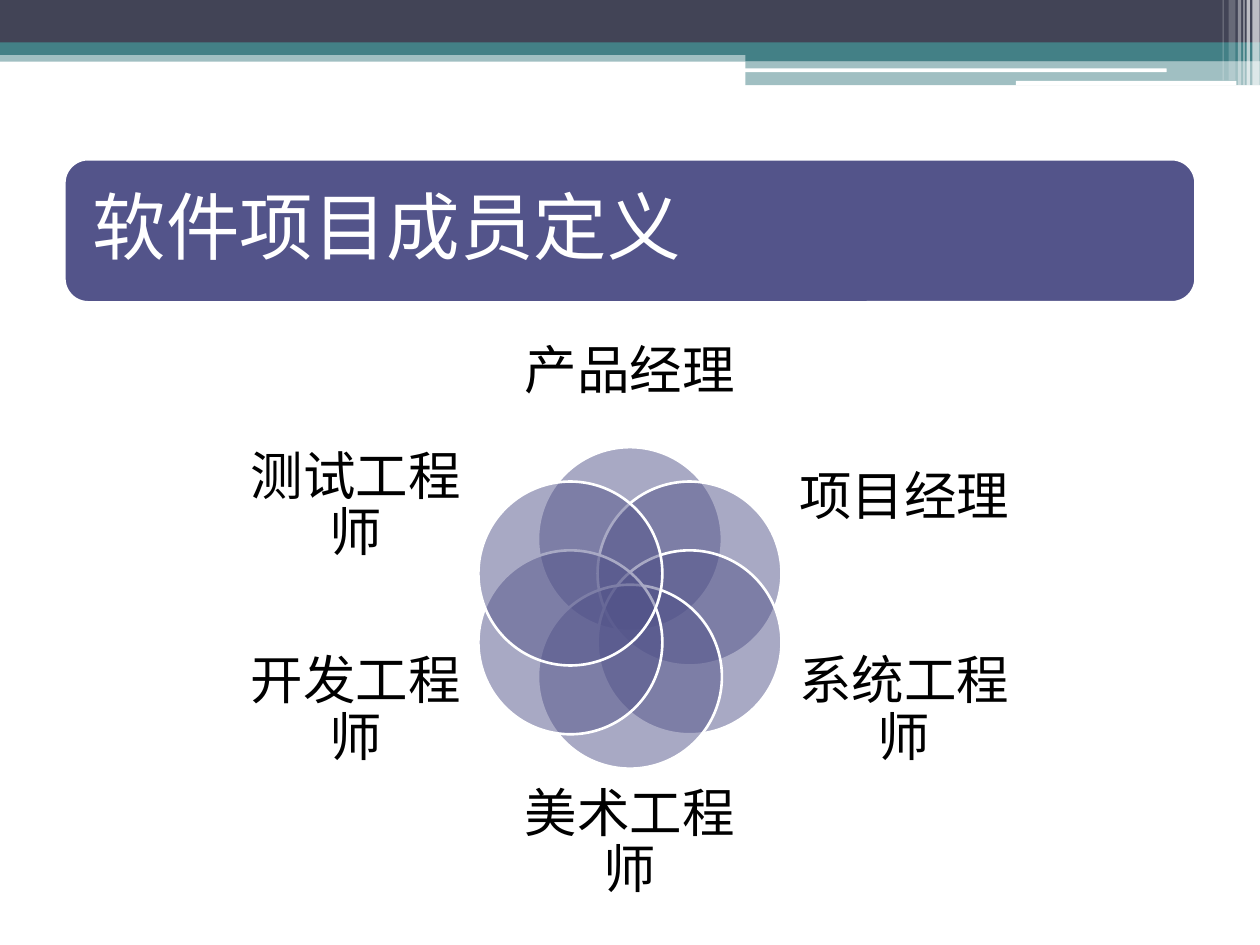
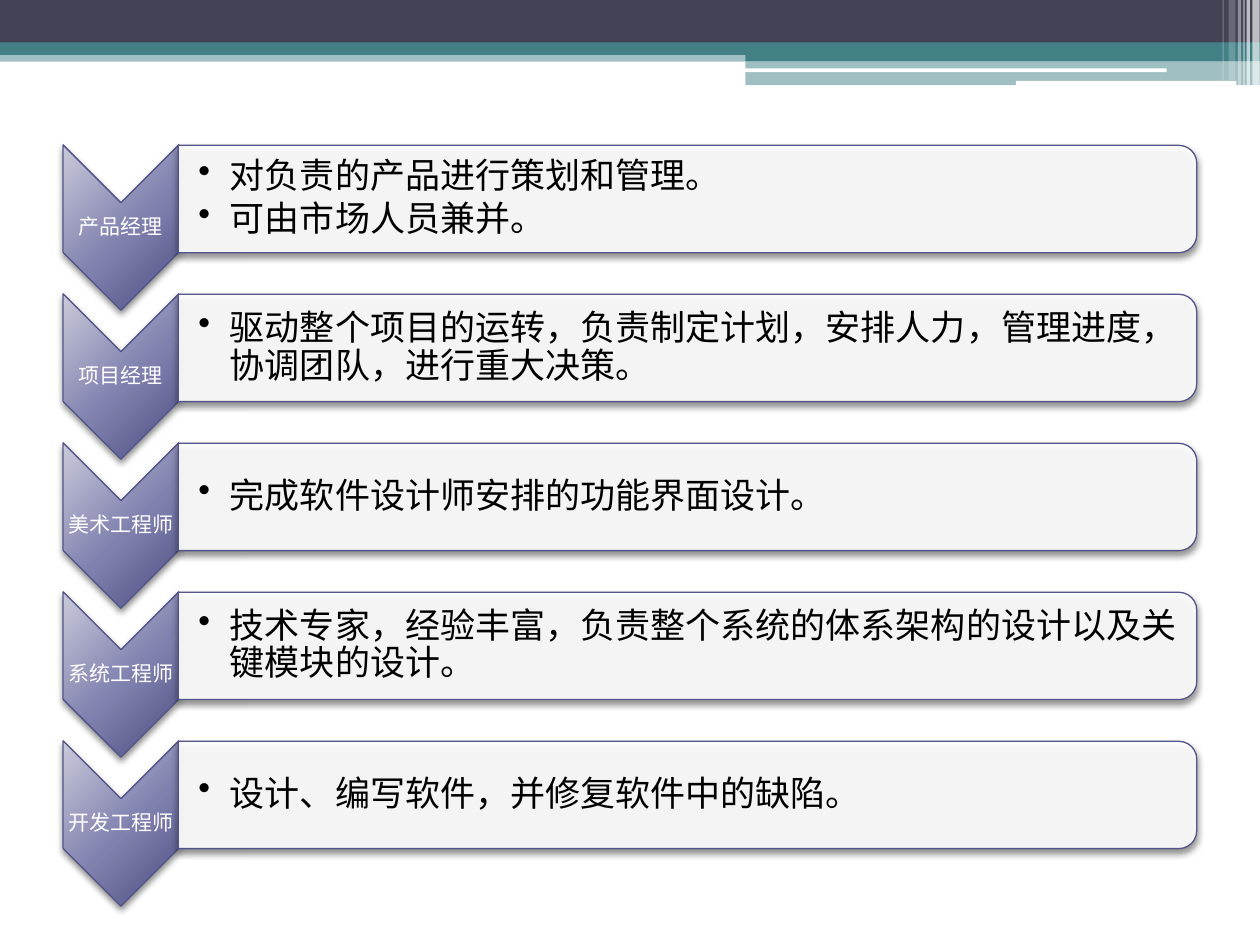
"""Build two slides on software project roles: a ring of members and a list of duties."""
from math import cos, radians, sin

from pptx import Presentation
from pptx.dml.color import RGBColor
from pptx.enum.shapes import MSO_SHAPE
from pptx.enum.text import MSO_ANCHOR, MSO_AUTO_SIZE, PP_ALIGN
from pptx.oxml import parse_xml
from pptx.oxml.ns import qn
from pptx.util import Pt
from lxml.etree import SubElement

SLATE = RGBColor(0x42, 0x44, 0x56)
TEAL = RGBColor(0x43, 0x80, 0x86)
INDIGO = RGBColor(0x53, 0x54, 0x8A)
WHITE = RGBColor(0xFF, 0xFF, 0xFF)
BLACK = RGBColor(0, 0, 0)
FONT = "TeX Gyre Schola"
NAMESPACE = 'xmlns:a="http://schemas.openxmlformats.org/drawingml/2006/main"'
STOPS = "".join(
    f'<a:gs pos="{position}000"><a:srgbClr val="{color}"/></a:gs>'
    for position, color in ((0, "C9C9DA"), (55, "7F80AE"), (100, "4D4E81"))
)
GRADIENT = (
    f'<a:gradFill {NAMESPACE} rotWithShape="1"><a:gsLst>{STOPS}</a:gsLst><a:path path="circle">'
    '<a:fillToRect l="-40000" t="-90000" r="140000" b="190000"/></a:path></a:gradFill>'
)
SHADOW = (
    f'<a:outerShdw {NAMESPACE} blurRad="50800" dist="25400" dir="5400000" rotWithShape="0">'
    '<a:srgbClr val="000000"><a:alpha val="45000"/></a:srgbClr></a:outerShdw>'
)


def draw(page, kind, frame, color, opacity=100, line=None, width=0):
    """Add a flat shape whose frame is given in points."""
    shape = page.shapes.add_shape(kind, *map(Pt, frame))
    shape.shadow.inherit = False
    shape.fill.solid()
    shape.fill.fore_color.rgb = color
    if opacity < 100:
        for tint in shape.element.spPr.iter(qn("a:srgbClr")):
            SubElement(tint, qn("a:alpha"), val=str(opacity * 1000))
    if line is None:
        shape.line.fill.background()
    else:
        shape.line.color.rgb = line
        shape.line.width = Pt(width)
    return shape


def write(box, lines, size, color, align, insets=(0, 0, 0, 0), bullets=False):
    """Fill a text box with formatted paragraphs."""
    frame = box.text_frame
    left, top, right, bottom = map(Pt, insets)
    frame_format = {
        "word_wrap": True, "auto_size": MSO_AUTO_SIZE.NONE, "vertical_anchor": MSO_ANCHOR.MIDDLE,
        "margin_left": left, "margin_top": top, "margin_right": right, "margin_bottom": bottom,
    }
    for name, value in frame_format.items():
        setattr(frame, name, value)
    for index, line in enumerate(lines):
        para = frame.add_paragraph() if index else frame.paragraphs[0]
        span = para.add_run()
        span.text = line
        span.font.color.rgb = color
        for name, value in {"name": FONT, "size": Pt(size)}.items():
            setattr(span.font, name, value)
        for name, value in {"alignment": align, "line_spacing": 0.9}.items():
            setattr(para, name, value)
        if bullets:
            para.space_after = Pt(3)
            properties = para._p.get_or_add_pPr()
            properties.set("marL", str(Pt(18)))
            properties.set("indent", str(Pt(-18)))
            SubElement(properties, qn("a:buChar"), char="•")


deck = Presentation()
deck.slide_width, deck.slide_height = Pt(720), Pt(540)
members_page = deck.slides.add_slide(deck.slide_layouts[5])
duties_page = deck.slides.add_slide(deck.slide_layouts[6])

RECT, ROUND = MSO_SHAPE.RECTANGLE, MSO_SHAPE.ROUNDED_RECTANGLE
header_parts = [
    (RECT, (0, 28.8, 720, 6.5), TEAL, 50),
    (RECT, (0, 0, 720, 24.5), SLATE, 100),
    (RECT, (0, 24.2, 720, 7.2), TEAL, 100),
    (RECT, (426, 28, 294, 7), TEAL, 100),
    (RECT, (426, 35, 294, 13.7), TEAL, 50),
    (ROUND, (425.5, 39.1, 241.2, 2.2), WHITE, 100),
    (ROUND, (580.5, 46.2, 126, 2.6), WHITE, 100),
]
stripes = [
    (715.6, 4.2, 49, 65), (712.3, 2, 49, 65), (710.5, 0.7, 49, 60),
    (707.3, 2, 49, 40), (702, 4, 46, 20), (698.6, 0.7, 46, 30),
]
for left, width, height, opacity in stripes:
    header_parts.append((RECT, (left, 0, width, height), WHITE, opacity))
for index, (kind, frame, color, opacity) in enumerate(header_parts):
    part = draw(members_page, kind, frame, color, opacity)
    part.element.nvSpPr.cNvPr.set("id", str(100 + index))
    deck.slide_master.shapes.element.insert(2 + index, part.element)

draw(members_page, ROUND, (36.8, 91, 646.4, 81.8), INDIGO, line=WHITE, width=1.5)
title = members_page.shapes.title
for name, value in {"left": 40.3, "top": 94.5, "width": 640, "height": 74.9}.items():
    setattr(title, name, Pt(value))
write(title, ["软件项目成员定义"], 42, WHITE, PP_ALIGN.LEFT, (12.6,) * 4)
members_page.shapes.element.append(title.element)

PETAL, RING = 105.1, 39.3
members = [
    ("产品经理", (294.5, 177.1, 131, 71.3)),
    ("项目经理", (454.3, 245.5, 124.6, 78.5)),
    ("系统工程师", (454.3, 362.2, 124.6, 87.8)),
    ("美术工程师", (294.5, 446.4, 131, 71.3)),
    ("开发工程师", (141.1, 362.2, 124.6, 87.8)),
    ("测试工程师", (141.1, 245.5, 124.6, 87.8)),
]
for index, (member, frame) in enumerate(members):
    angle = radians(360 / len(members) * index)
    left = 360 + RING * sin(angle) - PETAL / 2
    top = 347.4 - RING * cos(angle) - PETAL / 2
    draw(members_page, MSO_SHAPE.OVAL, (left, top, PETAL, PETAL), INDIGO, 50, WHITE, 1.5)
    label = members_page.shapes.add_textbox(*map(Pt, frame))
    write(label, [member], 30, BLACK, PP_ALIGN.CENTER)

ROW_PITCH = 85.14
duties = [
    ("产品经理", ["对负责的产品进行策划和管理。", "可由市场人员兼并。"]),
    ("项目经理", ["驱动整个项目的运转，负责制定计划，安排人力，管理进度，协调团队，进行重大决策。"]),
    ("美术工程师", ["完成软件设计师安排的功能界面设计。"]),
    ("系统工程师", ["技术专家，经验丰富，负责整个系统的体系架构的设计以及关键模块的设计。"]),
    ("开发工程师", ["设计、编写软件，并修复软件中的缺陷。"]),
]
for index, (role, tasks) in enumerate(duties):
    drop = index * ROW_PITCH
    chevron = draw(duties_page, MSO_SHAPE.CHEVRON, (21.9, 97, 94.4, 66.1), INDIGO,
                   line=INDIGO, width=0.75)
    solid = chevron.element.spPr.find(qn("a:solidFill"))
    chevron.element.spPr.replace(solid, parse_xml(GRADIENT))
    role_box = duties_page.shapes.add_textbox(Pt(36), Pt(115.9 + drop), Pt(66.2), Pt(28.1))
    write(role_box, [role], 12, WHITE, PP_ALIGN.CENTER, (0.7,) * 4)
    panel = draw(duties_page, MSO_SHAPE.ROUND_2_SAME_RECTANGLE, (362.2, -177.3, 61.3, 582),
                 WHITE, 90, INDIGO, 0.75)
    for shape in (chevron, panel):
        shape.top += Pt(drop)
        shape.rotation = 90
        shape.element.spPr.find(qn("a:effectLst")).append(parse_xml(SHADOW))
    task_box = duties_page.shapes.add_textbox(Pt(102.2), Pt(85.9 + drop), Pt(578.9), Pt(55.4))
    write(task_box, tasks, 20, BLACK, PP_ALIGN.LEFT, (11.2, 0.7, 0.7, 0.7), bullets=True)

deck.save("out.pptx")
